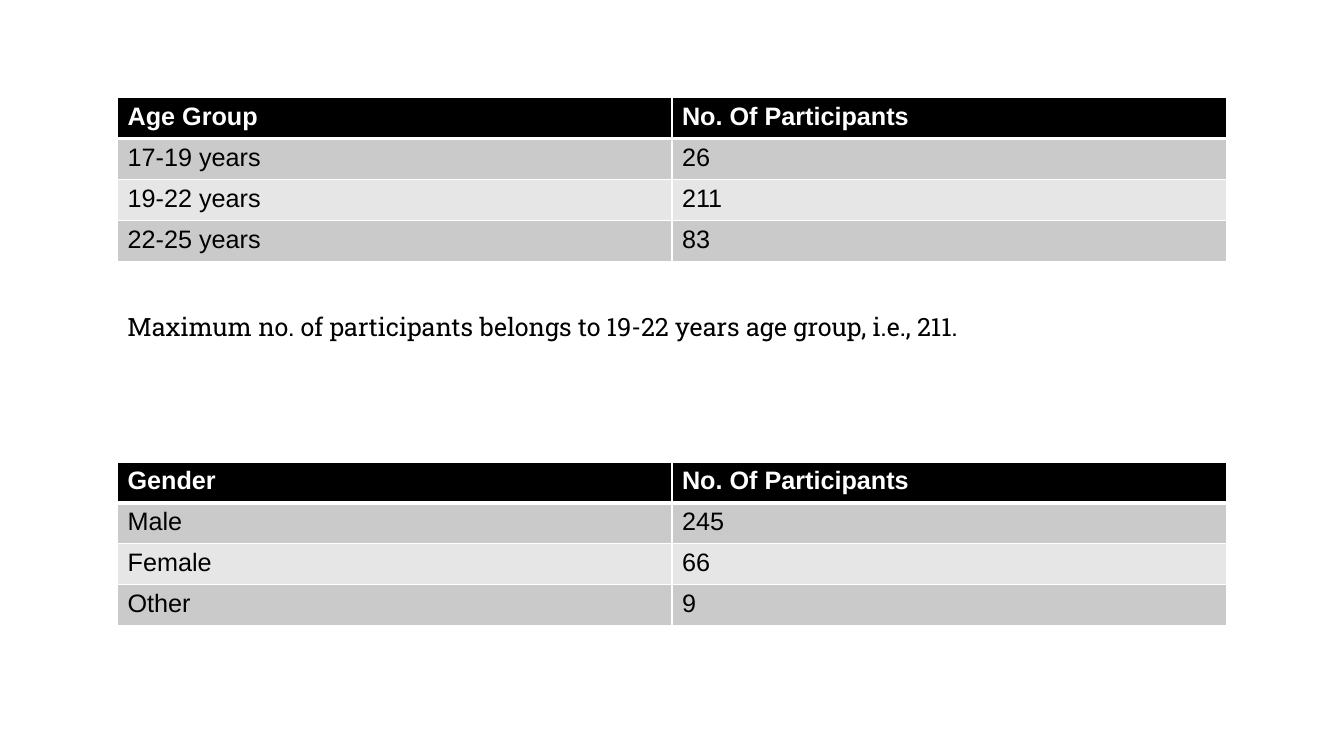
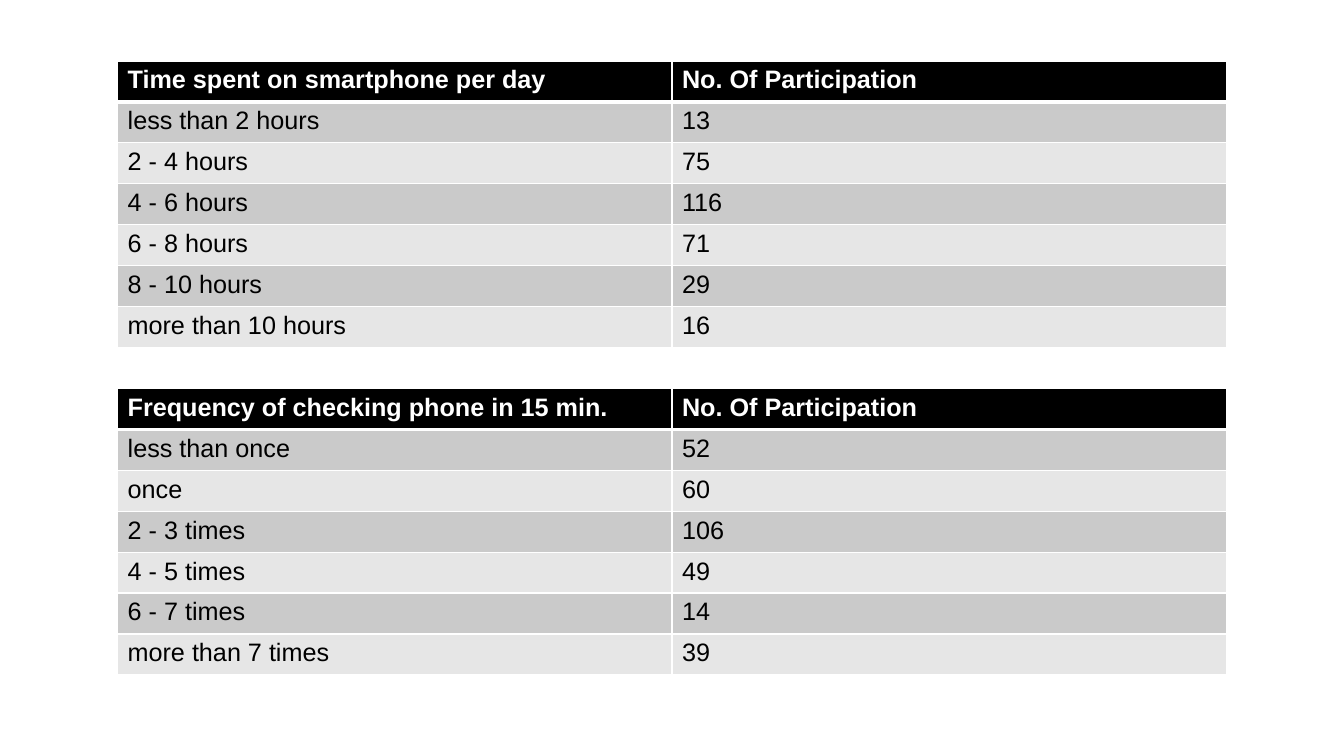
from lxml.etree import SubElement
from pptx import Presentation
from pptx.dml.color import RGBColor
from pptx.oxml.ns import qn
from pptx.util import Emu, Pt

BLACK = "000000"
WHITE = "FFFFFF"
BANDS = ["CACACA", "E6E6E6"]
LEFT, WIDTH, ROW = 112, 1056, 39
COUNT = "No. Of Participants"
SHARE = "No. Of Participation"


def px(n):
    return Emu(n * 9525)


def color(code):
    return RGBColor.from_string(code)


class Deck:
    def __init__(self):
        self.show = Presentation()
        self.show.slide_width = px(1280)
        self.show.slide_height = px(720)
        self.slide = None

    def page(self):
        self.slide = self.show.slides.add_slide(self.show.slide_layouts[6])

    def style(self, para, face, tone, bold=False):
        font = para.font
        font.name = face
        font.size = Pt(18)
        font.bold = bold
        font.color.rgb = color(tone)

    def edge(self, cell, side, width):
        props = cell._tc.get_or_add_tcPr()
        line = SubElement(props, qn(f"a:ln{side}"), w=str(Pt(width)))
        fill = SubElement(line, qn("a:solidFill"))
        SubElement(fill, qn("a:srgbClr"), val=WHITE)

    def cell(self, cell, text, row):
        head = row == 0
        thick = {0: "B", 1: "T"}.get(row)
        for side in "LRTB":
            self.edge(cell, side, 3 if side == thick else 1)
        cell.fill.solid()
        cell.fill.fore_color.rgb = color(BLACK if head else BANDS[(row - 1) % 2])
        cell.text = text
        self.style(cell.text_frame.paragraphs[0], "Arial", WHITE if head else BLACK, head)

    def table(self, top, rows):
        size = len(rows)
        frame = self.slide.shapes.add_table(
            size, 2, px(LEFT), px(top), px(WIDTH), px(ROW * size))
        grid = frame.table
        for r, row in enumerate(rows):
            grid.rows[r].height = px(ROW)
            for c, text in enumerate(row):
                self.cell(grid.cell(r, c), text, r)

    def note(self, top, text):
        box = self.slide.shapes.add_textbox(px(LEFT), px(top), px(WIDTH), px(68))
        frame = box.text_frame
        frame.word_wrap = True
        frame.text = text
        self.style(frame.paragraphs[0], "Roboto Slab", BLACK)


def main():
    deck = Deck()

    deck.page()
    deck.table(93, [
        ("Age Group", COUNT),
        ("17-19 years", "26"),
        ("19-22 years", "211"),
        ("22-25 years", "83"),
    ])
    deck.note(292, "Maximum no. of participants belongs to 19-22 years age group, i.e., 211.")
    deck.table(440, [
        ("Gender", COUNT),
        ("Male", "245"),
        ("Female", "66"),
        ("Other", "9"),
    ])

    deck.page()
    deck.table(58, [
        ("Time spent on smartphone per day", SHARE),
        ("less than 2 hours", "13"),
        ("2 - 4 hours", "75"),
        ("4 - 6 hours", "116"),
        ("6 - 8 hours", "71"),
        ("8 - 10 hours", "29"),
        ("more than 10 hours", "16"),
    ])
    deck.table(370, [
        ("Frequency of checking phone in 15 min.", SHARE),
        ("less than once", "52"),
        ("once", "60"),
        ("2 - 3 times", "106"),
        ("4 - 5 times", "49"),
        ("6 - 7 times", "14"),
        ("more than 7 times", "39"),
    ])

    deck.show.save("out.pptx")


if __name__ == "__main__":
    main()
